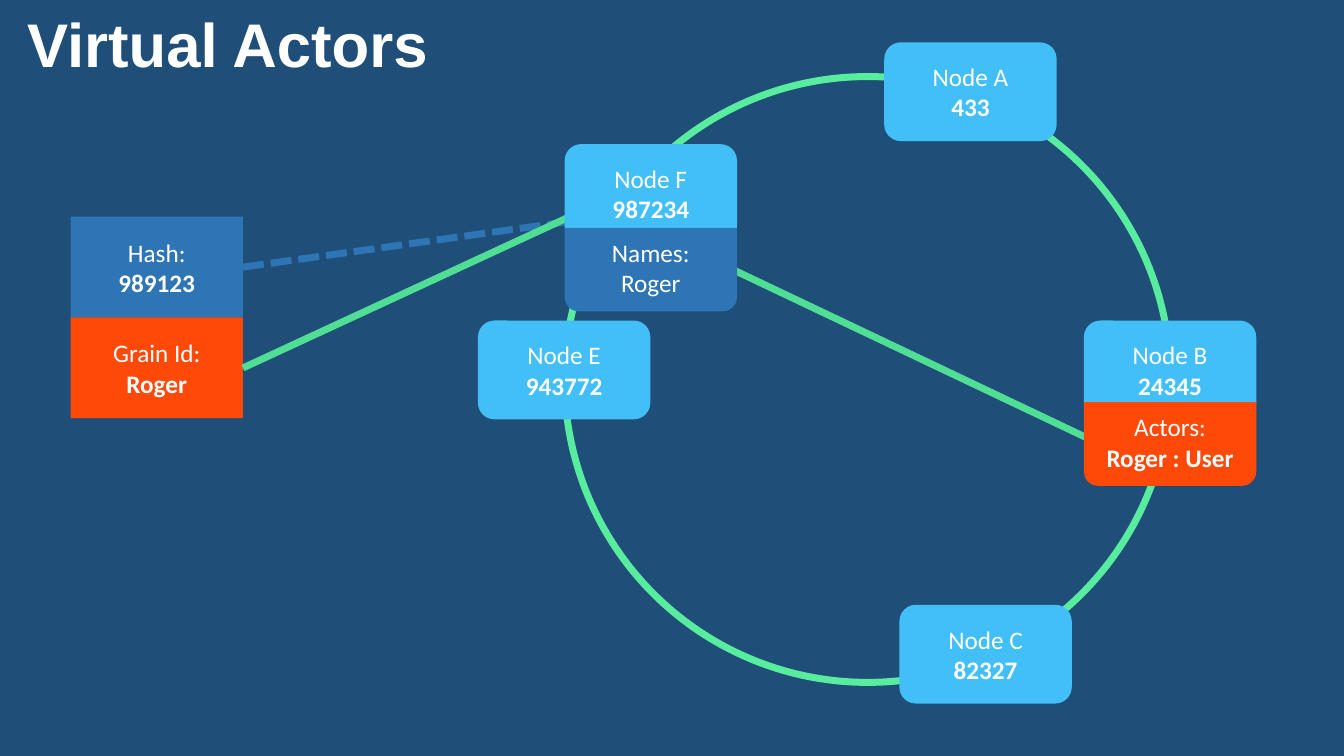
from pptx import Presentation
from pptx.dml.color import RGBColor
from pptx.enum.dml import MSO_LINE
from pptx.enum.shapes import MSO_CONNECTOR, MSO_SHAPE
from pptx.enum.text import MSO_ANCHOR, PP_ALIGN
from pptx.oxml.ns import qn
from pptx.util import Inches, Pt
from lxml import etree

RECT = MSO_SHAPE.RECTANGLE
ROUNDED = MSO_SHAPE.ROUNDED_RECTANGLE
ROUNDED_PAIR = MSO_SHAPE.ROUND_2_SAME_RECTANGLE
OVAL = MSO_SHAPE.OVAL
STRAIGHT = MSO_CONNECTOR.STRAIGHT
DASH = MSO_LINE.SQUARE_DOT
MIDDLE = MSO_ANCHOR.MIDDLE
CENTER = PP_ALIGN.CENTER
RIGHT_SIDE = 3

COLORS = {
    "background": "1F4E79",
    "node": "43BFF7",
    "names": "2E75B6",
    "actor": "FF4909",
    "ring": "58EC9F",
    "link": "50DE94",
    "text": "FFFFFF",
}
CARD_WIDTH = 1.71
NODE_HEIGHT = 0.98
PANEL_HEIGHT = 0.83
STROKE = 5


class ActorSlide:
    """Draws the styled elements of the virtual actors slide."""

    def __init__(self, slide):
        self.slide = slide
        fill = slide.background.fill
        fill.solid()
        fill.fore_color.rgb = self.color("background")

    def color(self, name):
        return RGBColor.from_string(COLORS[name])

    def format_runs(self, paragraph, font, size, bold):
        for run in paragraph.runs:
            run.font.name = font
            run.font.size = Pt(size)
            run.font.bold = bold
            run.font.color.rgb = self.color("text")

    def title(self, text):
        box = self.slide.shapes.add_textbox(
            Inches(0), Inches(0.01), Inches(13.33), Inches(0.84))
        frame = box.text_frame
        frame.word_wrap = True
        frame.margin_left = Inches(0.27)
        frame.text = text
        self.format_runs(frame.paragraphs[0], "Arial", 44, True)

    def ring(self, left, top, diameter):
        ring = self.slide.shapes.add_shape(
            OVAL, Inches(left), Inches(top), Inches(diameter), Inches(diameter))
        ring.shadow.inherit = False
        ring.fill.background()
        ring.line.color.rgb = self.color("ring")
        ring.line.width = Pt(STROKE)

    def card(self, kind, left, top, height, color, text):
        card = self.slide.shapes.add_shape(
            kind, Inches(left), Inches(top), Inches(CARD_WIDTH), Inches(height))
        card.shadow.inherit = False
        card.fill.solid()
        card.fill.fore_color.rgb = self.color(color)
        card.line.fill.background()
        frame = card.text_frame
        frame.word_wrap = True
        frame.vertical_anchor = MIDDLE
        frame.text = text
        for index, paragraph in enumerate(frame.paragraphs):
            paragraph.alignment = CENTER
            self.format_runs(paragraph, "Calibri", 18, index > 0)
        return card

    def node(self, left, top, name, position):
        self.card(ROUNDED, left, top, NODE_HEIGHT, "node",
                  f"Node {name}\n{position}")

    def panel(self, left, top, color, text):
        panel = self.card(ROUNDED_PAIR, left, top, PANEL_HEIGHT, color, text)
        panel.adjustments[0] = 0
        panel.adjustments[1] = 0.17

    def link(self, start, end, color, source=None, dash=None):
        link = self.slide.shapes.add_connector(
            STRAIGHT, *(Inches(value) for value in start + end))
        link.line.color.rgb = self.color(color)
        link.line.width = Pt(STROKE)
        if dash is not None:
            link.line.dash_style = dash
        if source is not None:
            link.begin_connect(source, RIGHT_SIDE)
        etree.SubElement(link.element.spPr, qn("a:effectLst"))


def main():
    presentation = Presentation()
    presentation.slide_width = Inches(13.33)
    presentation.slide_height = Inches(7.5)
    actors = ActorSlide(
        presentation.slides.add_slide(presentation.slide_layouts[6]))

    grain_hash = actors.card(RECT, 0.7, 2.15, 1, "names", "Hash:\n989123")
    grain_id = actors.card(RECT, 0.7, 3.15, 1, "actor", "Grain Id:\nRoger")

    actors.link((7.09, 2.59), (10.94, 4.42), "link")
    actors.link((2.41, 2.65), (6.06, 2.14), "names", grain_hash, DASH)
    actors.ring(5.6, 0.76, 6.01)
    actors.link((2.41, 3.65), (5.65, 2.15), "link", grain_id)

    for left, top, name, position in (
        (8.77, 0.42, "A", 433),
        (10.75, 3.18, "B", 24345),
        (8.92, 6, "C", 82327),
        (4.74, 3.18, "E", 943772),
        (5.6, 1.43, "F", 987234),
    ):
        actors.node(left, top, name, position)

    actors.panel(5.6, 2.26, "names", "Names:\vRoger")
    actors.panel(10.75, 3.99, "actor", "Actors:\nRoger : User")
    actors.title("Virtual Actors")

    presentation.save("out.pptx")


if __name__ == "__main__":
    main()
